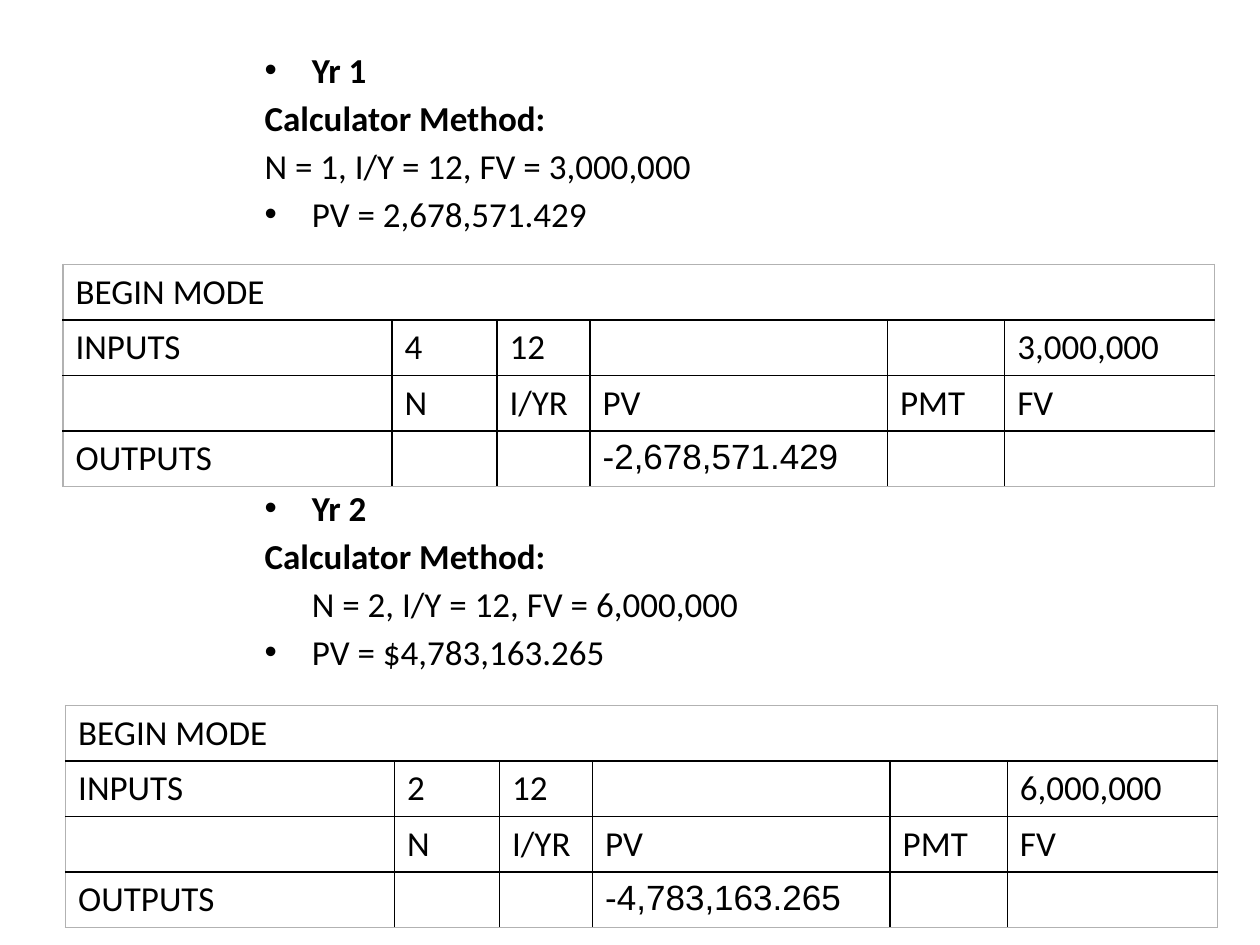
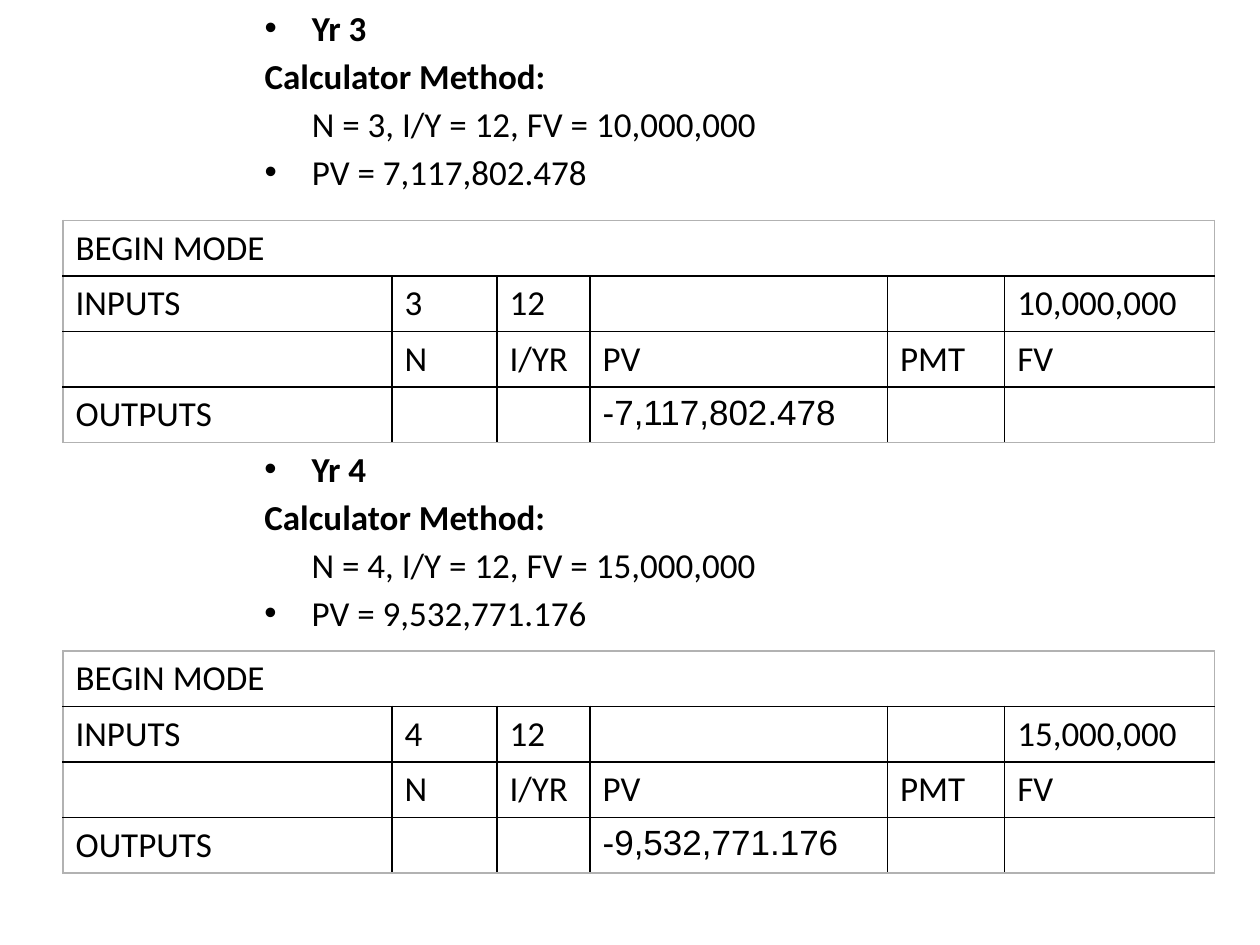
from lxml.etree import SubElement as Sub
from pptx import Presentation
from pptx.dml.color import RGBColor
from pptx.enum.text import MSO_ANCHOR as Anchor, MSO_AUTO_SIZE as Fit
from pptx.oxml.ns import qn
from pptx.util import Pt

BLACK = RGBColor(0, 0, 0)
GREY = RGBColor(0xB2, 0xB2, 0xB2)
COLS = [188, 60, 53.2, 170, 67, 120]
ROW = 31.2
INDENT = 27
GAP = 3.5
SKIP = 143.6


def put(para, text, font="Calibri", bold=False):
    """Write text into a paragraph with its format."""
    run = para.add_run()
    run.text = text
    run.font.size = Pt(20)
    run.font.name = font
    run.font.bold = bold
    run.font.color.rgb = BLACK


def lay(para, left=0, bullet=False, gap=GAP):
    """Set the indent, bullet and space above a paragraph."""
    para.space_before = Pt(gap)
    props = para._p.get_or_add_pPr()
    props.set("marL", str(Pt(left)))
    props.set("indent", str(Pt(-left if bullet else 0)))
    if bullet:
        Sub(props, qn("a:buFont"), typeface="Arial")
        Sub(props, qn("a:buChar"), char="•")
    else:
        Sub(props, qn("a:buNone"))


def add_year(frame, year, given, value, left=INDENT):
    """Add the four lines of one year to a text frame."""
    fresh = not frame.text
    lines = [
        (f"Yr {year}", True, INDENT, True),
        ("Calculator Method:", True, 0, False),
        (f"N = {year}, I/Y = 12, FV = {given}", False, left, False),
        (f"PV = {value}", False, INDENT, True),
    ]
    for i, (text, bold, edge, bullet) in enumerate(lines):
        para = frame.paragraphs[0] if fresh and i == 0 else frame.add_paragraph()
        lay(para, edge, bullet, GAP if fresh or i else SKIP)
        put(para, text, bold=bold)


def set_box(box, top):
    """Place a text box and return its frame."""
    box.left, box.top, box.width, box.height = Pt(144), Pt(top), Pt(648), Pt(356.4)
    frame = box.text_frame
    frame.word_wrap = True
    frame.auto_size = Fit.NONE
    frame.vertical_anchor = Anchor.TOP
    return frame


def edge_cell(cell, sides):
    """Draw the four borders of a cell, grey on the outer sides."""
    props = cell._tc.get_or_add_tcPr()
    for side, outer in sides.items():
        line = Sub(props, qn(f"a:ln{side}"), w=str(Pt(1)))
        fill = Sub(line, qn("a:solidFill"))
        Sub(fill, qn("a:srgbClr"), val=str(GREY if outer else BLACK))
    cell.fill.background()


def add_grid(slide, left, top, count, given, value):
    """Add the calculator table of one year."""
    rows = [
        ["BEGIN MODE", "", "", "", "", ""],
        ["INPUTS", count, "12", "", "", given],
        ["", "N", "I/YR", "PV", "PMT", "FV"],
        ["OUTPUTS", "", "", f"-{value}", "", ""],
    ]
    high, wide = len(rows), len(COLS)
    grid = slide.shapes.add_table(
        high, wide, Pt(left), Pt(top), Pt(sum(COLS)), Pt(ROW * high)).table
    grid.first_row = grid.horz_banding = False
    for col, width in zip(grid.columns, COLS):
        col.width = Pt(width)
    for r, row in enumerate(rows):
        grid.rows[r].height = Pt(ROW)
        for c, text in enumerate(row):
            cell = grid.cell(r, c)
            edge_cell(cell, {"L": c == 0, "R": c == wide - 1 or r == 0,
                             "T": r == 0, "B": r == high - 1})
            if text:
                font = "Arial" if text.startswith("-") else "Calibri"
                put(cell.text_frame.paragraphs[0], text, font=font)
    grid.cell(0, 0).merge(grid.cell(0, wide - 1))


def add_page(deck, top):
    """Add a slide without a title and return it with its body frame."""
    slide = deck.slides.add_slide(deck.slide_layouts[1])
    title = slide.shapes.title._element
    title.getparent().remove(title)
    return slide, set_box(slide.placeholders[1], top)


def main():
    """Build both slides and save the deck."""
    deck = Presentation()
    deck.slide_width, deck.slide_height = Pt(720), Pt(540)

    slide, body = add_page(deck, 24)
    add_year(body, 1, "3,000,000", "2,678,571.429", left=0)
    add_year(body, 2, "6,000,000", "$4,783,163.265")
    add_grid(slide, 36, 151.2, "4", "3,000,000", "2,678,571.429")
    add_grid(slide, 37.5, 403.2, "2", "6,000,000", "4,783,163.265")

    slide, body = add_page(deck, 0)
    add_year(body, 3, "10,000,000", "7,117,802.478")
    add_grid(slide, 36, 126, "3", "10,000,000", "7,117,802.478")
    box = slide.shapes.add_textbox(0, 0, 0, 0)
    add_year(set_box(box, 252), 4, "15,000,000", "9,532,771.176")
    add_grid(slide, 36, 372, "4", "15,000,000", "9,532,771.176")

    deck.save("out.pptx")


if __name__ == "__main__":
    main()
